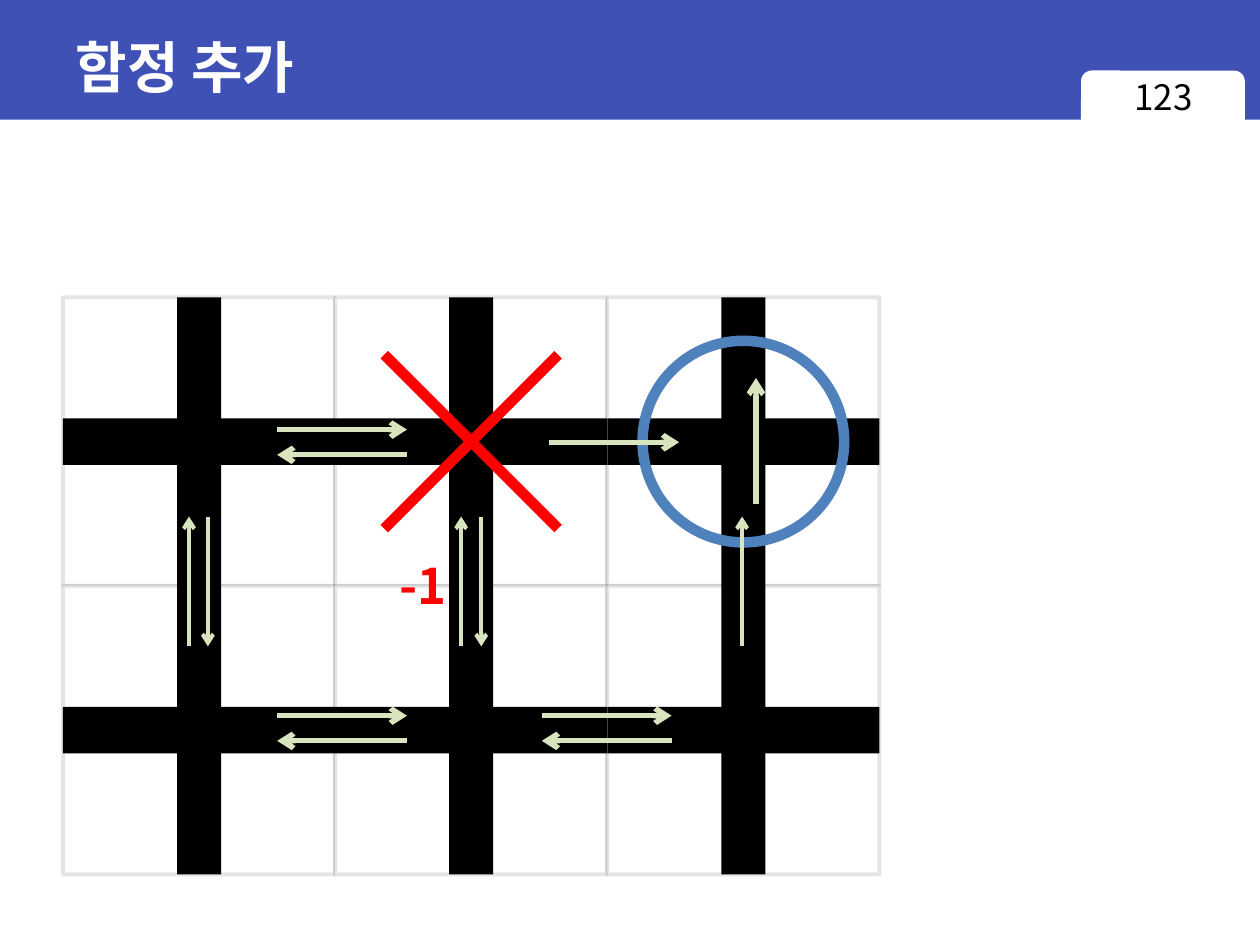
from lxml import etree
from pptx import Presentation
from pptx import util as u
from pptx.dml.color import RGBColor
from pptx.enum import shapes, text
from pptx.oxml.ns import qn

INDIGO = RGBColor(0x3F, 0x51, 0xB5)
WHITE = RGBColor(0xFF, 0xFF, 0xFF)
BLACK = RGBColor(0, 0, 0)
BLUE = RGBColor(0x4F, 0x81, 0xBD)
PALE_GREEN = RGBColor(0xD7, 0xE4, 0xBD)
RED = RGBColor(0xFF, 0, 0)

COLS, ROWS = 3, 2
GRID_LEFT, GRID_TOP = 0.5, 2.36
CELL_W, CELL_H = 2.16, 2.29
ROAD_W, ROAD_H = 0.35, 0.37
ARROW_LENGTH = 1.03
PRESET = shapes.MSO_SHAPE


def center(col, row):
    return GRID_LEFT + (col + 0.5) * CELL_W, GRID_TOP + (row + 0.5) * CELL_H


def set_line(shape, color, width):
    shape.line.color.rgb = color
    shape.line.width = u.Pt(width)


def add_arrowhead(shape):
    etree.SubElement(shape.line._get_or_add_ln(), qn("a:tailEnd"), type="arrow")


def add_block(slide, box, preset=PRESET.RECTANGLE, fill=None):
    """Add a preset shape with no outline or shadow; box is in inches."""
    block = slide.shapes.add_shape(preset, *map(u.Inches, box))
    block.shadow.inherit = False
    block.line.fill.background()
    if fill is None:
        block.fill.background()
    else:
        block.fill.solid()
        block.fill.fore_color.rgb = fill
    return block


def add_line(slide, start, end, color, width):
    line = slide.shapes.add_connector(
        shapes.MSO_CONNECTOR.STRAIGHT, *map(u.Inches, (*start, *end)))
    set_line(line, color, width)
    etree.SubElement(line._element.spPr, qn("a:effectLst"))
    return line


def add_arrow(slide, start, end, width):
    add_arrowhead(add_line(slide, start, end, PALE_GREEN, width))


def format_run(paragraph, size, font, color, bold=False):
    run_font = paragraph.runs[0].font
    run_font.size, run_font.name, run_font.bold = u.Pt(size), font, bold
    run_font.color.rgb = color


def add_label(slide, box, words, size, color, bold=False, wrap=True):
    frame = slide.shapes.add_textbox(*map(u.Inches, box)).text_frame
    frame.word_wrap = wrap
    frame.text = words
    format_run(frame.paragraphs[0], size, "Noto Sans CJK KR", color, bold)
    return frame


def add_header(slide):
    add_block(slide, (0, 0, 10, 0.95), fill=INDIGO)
    add_block(slide, (8.58, 0.56, 1.3, 0.51), PRESET.ROUNDED_RECTANGLE, WHITE)
    title = slide.shapes.title
    title.left, title.top, title.width, title.height = map(
        u.Inches, (0.5, 0.11, 9, 0.83))
    frame = title.text_frame
    frame.text = "함정 추가"
    frame.vertical_anchor = text.MSO_ANCHOR.MIDDLE
    frame.paragraphs[0].alignment = text.PP_ALIGN.LEFT
    format_run(frame.paragraphs[0], 32, "Arial", WHITE, bold=True)
    slide.shapes._spTree.append(title._element)  # in front of the band
    page = add_label(slide, (8.58, 0.55, 1.31, 0.52), "123", 20, BLACK)
    page.paragraphs[0].alignment = text.PP_ALIGN.CENTER


def add_road_map(slide):
    cells = [(col, row) for row in range(ROWS) for col in range(COLS)]
    for col, row in cells:
        x, y = center(col, row)
        tile = add_block(slide, (x - CELL_W / 2, y - CELL_H / 2, CELL_W, CELL_H),
                         fill=WHITE)
        set_line(tile, BLACK, 2.25)
        ink = tile.line._get_or_add_ln().find(".//" + qn("a:srgbClr"))
        etree.SubElement(ink, qn("a:alpha"), val="10000")
    for col, row in cells:
        x, y = center(col, row)
        add_block(slide, (x - ROAD_W / 2, y - CELL_H / 2, ROAD_W, CELL_H), fill=BLACK)
        add_block(slide, (x - CELL_W / 2, y - ROAD_H / 2, CELL_W, ROAD_H), fill=BLACK)


def add_moves(slide):
    for left, y in ((2.2, 5.78), (4.3, 5.78), (2.2, 3.51)):
        right = left + ARROW_LENGTH
        add_arrow(slide, (right, y + 0.1), (left, y + 0.1), 3)
        add_arrow(slide, (left, y - 0.1), (right, y - 0.1), 3)
    add_arrow(slide, (4.36, 3.51), (4.36 + ARROW_LENGTH, 3.51), 3)

    top, bottom = 4.1, 4.1 + ARROW_LENGTH
    for up_x in (1.5, 3.66, 5.89):
        add_arrow(slide, (up_x, bottom), (up_x, top), 2.25)
    for down_x in (1.65, 3.82):
        add_arrow(slide, (down_x, top), (down_x, bottom), 2.25)


def bezier_points(start, curves, steps=12):
    """Yield points along joined cubic curves, without the start."""
    for c1, c2, end in curves:
        for step in range(1, steps + 1):
            t = step / steps
            s = 1 - t
            yield tuple(s**3 * a + 3 * s * s * t * b + 3 * s * t * t * c + t**3 * d
                        for a, b, c, d in zip(start, c1, c2, end))
        start = end


def add_self_loop(slide):
    start = (5.9, 3.52)
    curves = [((6.1, 3.55), (6.3, 3.58), (6.37, 3.52)),
              ((6.44, 3.45), (6.4, 3.18), (6.32, 3.11)),
              ((6.25, 3.04), (6.01, 3.05), (5.94, 3.1)),
              ((5.87, 3.16), (5.9, 3.3), (5.93, 3.44))]
    outline = slide.shapes.build_freeform(*start, scale=u.Inches(1))
    outline.add_line_segments(list(bezier_points(start, curves)), close=False)
    loop = outline.convert_to_shape()
    loop.shadow.inherit = False
    loop.fill.background()
    set_line(loop, PALE_GREEN, 3)
    add_arrowhead(loop)


def add_trap(slide):
    add_label(slide, (3.07, 4.36, 0.59, 0.57), "-1", 28, RED, bold=True, wrap=False)
    x, y = center(1, 0)
    reach = 0.69
    for side in (1, -1):
        add_line(slide, (x + side * reach, y - reach),
                 (x - side * reach, y + reach), RED, 6)


def main():
    deck = Presentation()
    deck.slide_width, deck.slide_height = u.Inches(10), u.Inches(7.5)
    slide = deck.slides.add_slide(deck.slide_layouts[5])
    add_header(slide)
    add_road_map(slide)
    goal_x, goal_y = center(2, 0)
    goal = add_block(slide, (goal_x - 0.8, goal_y - 0.8, 1.6, 1.6), PRESET.OVAL)
    set_line(goal, BLUE, 6)
    add_moves(slide)
    add_self_loop(slide)
    add_trap(slide)
    deck.save("out.pptx")


if __name__ == "__main__":
    main()
